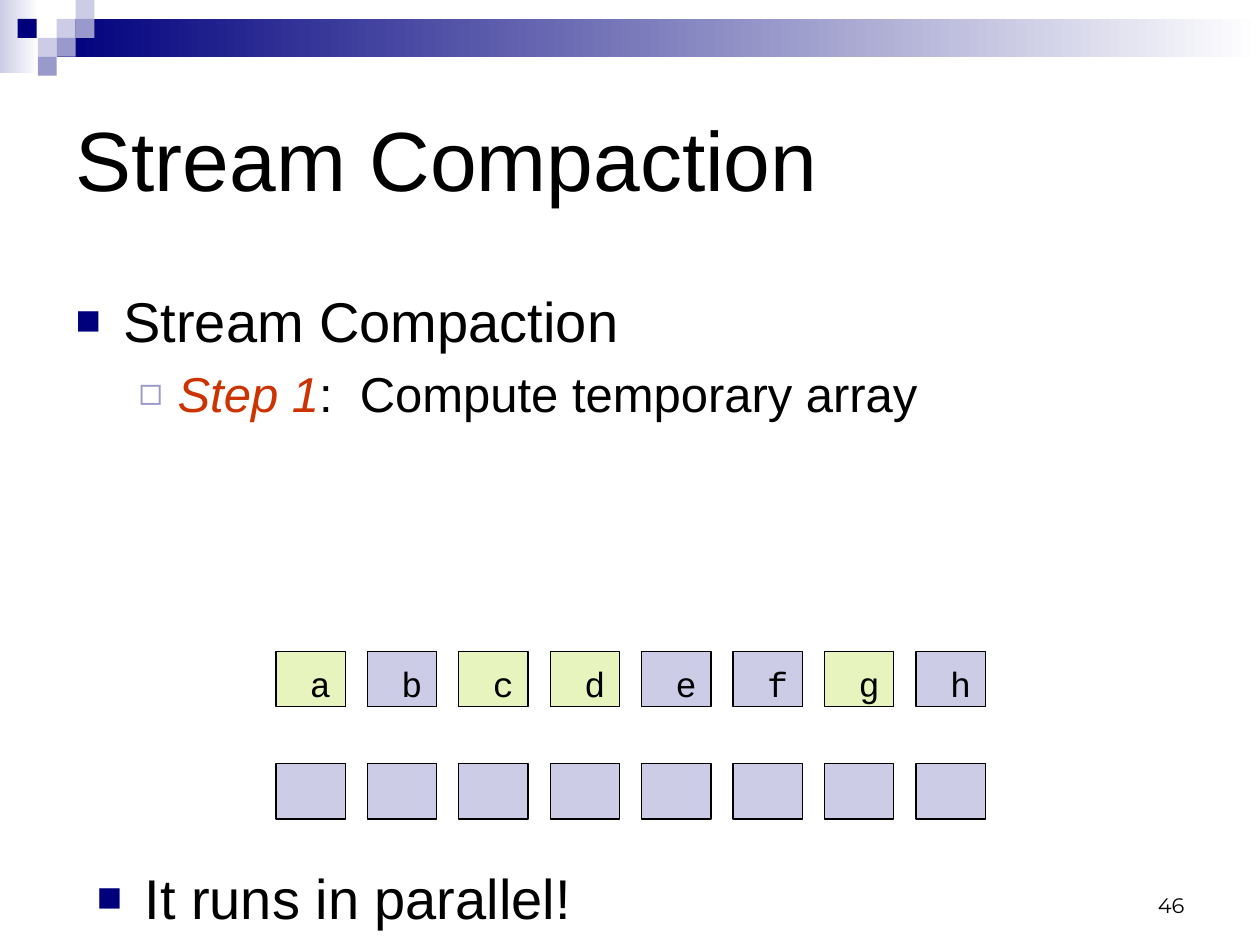
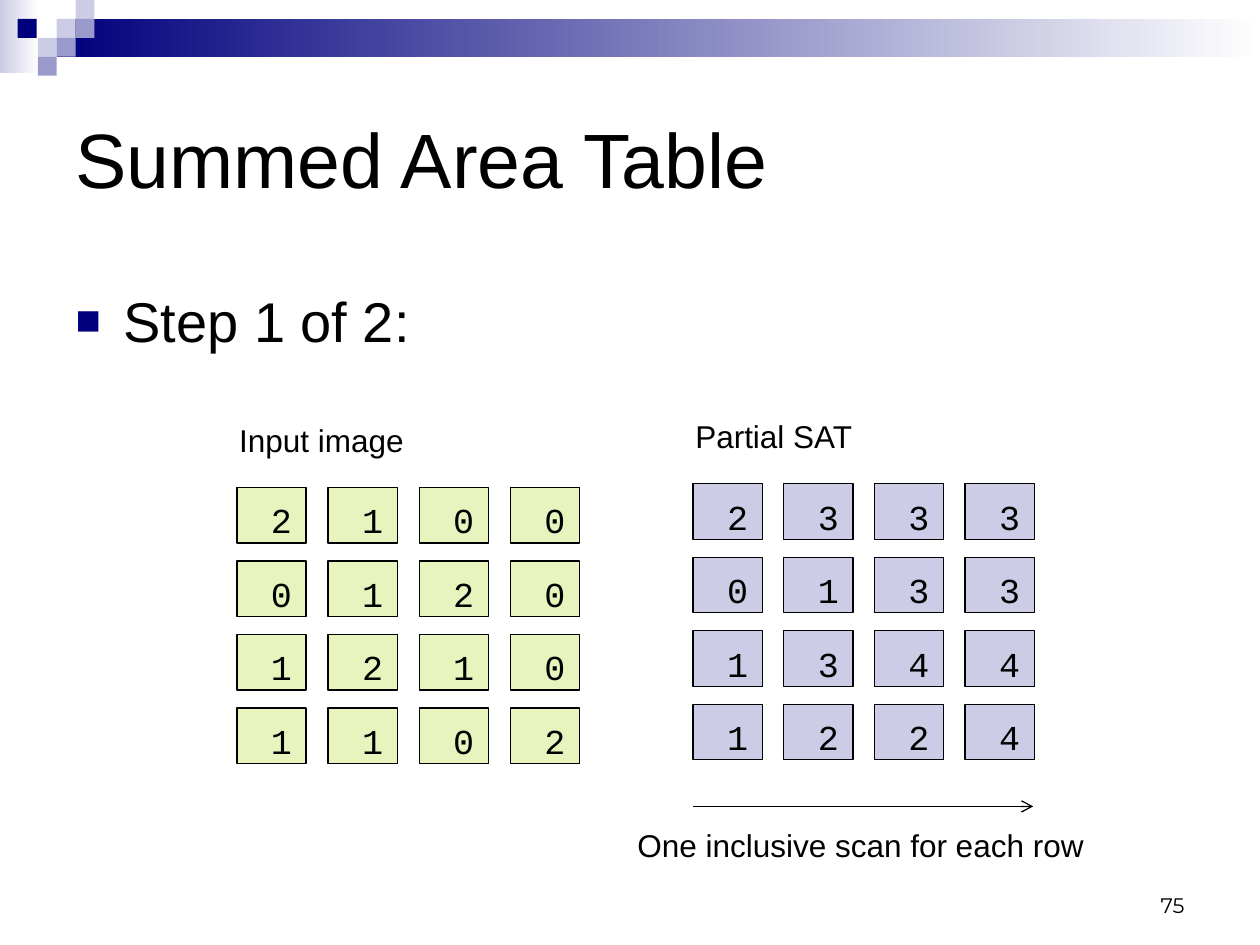
from dataclasses import dataclass
from itertools import accumulate

from lxml.etree import SubElement
from pptx import Presentation
from pptx.dml.color import RGBColor
from pptx.enum.shapes import MSO_CONNECTOR, MSO_SHAPE
from pptx.enum.text import MSO_ANCHOR, MSO_AUTO_SIZE, PP_ALIGN
from pptx.oxml.ns import qn
from pptx.util import Inches, Pt

COLORS = {
    "navy": "00007D",
    "violet": "9999CC",
    "lavender": "CCCCE6",
    "lime": "E7F4BE",
    "red": "CC3300",
    "black": "000000",
    "white": "FFFFFF",
}
SANS, MONO, NUMBER_FONT = "Arial", "Courier New", "Montserrat"
CELL_WIDTH, CELL_HEIGHT = 0.55, 0.44
TILE = 0.15


@dataclass(frozen=True)
class Area:
    left: float
    top: float
    width: float
    height: float

    def lengths(self) -> tuple:
        return tuple(map(Inches, (self.left, self.top, self.width, self.height)))


@dataclass(frozen=True)
class Bullet:
    char: str
    color: str
    percent: int
    margin: float
    hanging: float
    level: int = 0


@dataclass(frozen=True)
class CellGrid:
    area: Area
    rows: list
    fills: list


SQUARE = Bullet("■", "navy", 75, 0.38, 0.38)
HOLLOW = Bullet("◻", "violet", 80, 0.81, 0.31, level=1)

TITLE_AREA = Area(0.5, 0.5, 9, 1.5)
NUMBER_AREA = Area(7.17, 6.83, 2.33, 0.5)
FADES = [
    (Area(0, 0, 0.31, 0.58), "lavender"),
    (Area(0.45, 0.15, 9.55, 0.3), "navy"),
]
TILES = [
    (0.45, 0.15, "lavender"),
    (0.6, 0, "lavender"),
    (0.6, 0.15, "violet"),
    (0.3, 0.3, "lavender"),
    (0.14, 0.15, "navy"),
    (0.45, 0.3, "violet"),
    (0.3, 0.45, "violet"),
]


def rgb(name: str) -> RGBColor:
    return RGBColor.from_string(COLORS[name])


def add_text(para, text: str, *, size: float, font: str = SANS,
             color: str = "black", italic: bool = False) -> None:
    span = para.add_run()
    span.text = text
    span.font.name = font
    span.font.size = Pt(size)
    span.font.color.rgb = rgb(color)
    span.font.italic = italic


def set_bullet(para, bullet: Bullet) -> None:
    para.level = bullet.level
    props = para._p.get_or_add_pPr()
    props.set("marL", str(Inches(bullet.margin)))
    props.set("indent", str(-Inches(bullet.hanging)))
    color = SubElement(props, qn("a:buClr"))
    SubElement(color, qn("a:srgbClr"), val=COLORS[bullet.color])
    SubElement(props, qn("a:buSzPct"), val=str(bullet.percent * 1000))
    SubElement(props, qn("a:buFont"), typeface=SANS)
    SubElement(props, qn("a:buChar"), char=bullet.char)


def place(box, area: Area) -> None:
    box.left, box.top, box.width, box.height = area.lengths()


def start_list(box, text: str):
    """Write the first square-bulleted line and return the text frame."""
    frame = box.text_frame
    frame.word_wrap = True
    frame.auto_size = MSO_AUTO_SIZE.NONE
    frame.margin_top = Inches(0.1)
    para = frame.paragraphs[0]
    set_bullet(para, SQUARE)
    para.space_before = Pt(0)
    add_text(para, text, size=32)
    return frame


def add_rectangle(shapes, area: Area):
    shape = shapes.add_shape(MSO_SHAPE.RECTANGLE, *area.lengths())
    shape.shadow.inherit = False
    return shape


def add_solid(shapes, area: Area, fill: str):
    shape = add_rectangle(shapes, area)
    shape.fill.solid()
    shape.fill.fore_color.rgb = rgb(fill)
    return shape


def decorate_layout(layout, slide) -> None:
    """Draw the corner tiles and fading band, then move them to the layout."""
    for holder in list(layout.placeholders)[2:]:
        holder.element.getparent().remove(holder.element)
    group = slide.shapes.add_group_shape()
    for area, color in FADES:
        shape = add_rectangle(group.shapes, area)
        shape.line.fill.background()
        shape.fill.gradient()
        shape.fill.gradient_angle = 0
        for stop, name in zip(shape.fill.gradient_stops, (color, "white")):
            stop.color.rgb = rgb(name)
    for left, top, color in TILES:
        tile = add_solid(group.shapes, Area(left, top, TILE, TILE), color)
        tile.line.fill.background()
    layout.shapes.element.insert(2, group.element)


def add_page(deck, layout, title: str, title_size: float, number: int):
    page = deck.slides.add_slide(layout)
    box = page.shapes.title
    place(box, TITLE_AREA)
    frame = box.text_frame
    frame.auto_size = MSO_AUTO_SIZE.NONE
    frame.vertical_anchor = MSO_ANCHOR.MIDDLE
    frame.paragraphs[0].alignment = PP_ALIGN.LEFT
    add_text(frame.paragraphs[0], title, size=title_size)

    frame = page.shapes.add_textbox(*NUMBER_AREA.lengths()).text_frame
    frame.word_wrap = True
    frame.vertical_anchor = MSO_ANCHOR.BOTTOM
    frame.paragraphs[0].alignment = PP_ALIGN.RIGHT
    add_text(frame.paragraphs[0], str(number), size=12, font=NUMBER_FONT)
    return page


def add_cell(page, area: Area, fill: str, text: str) -> None:
    cell = add_solid(page.shapes, area, fill)
    cell.line.color.rgb = rgb("black")
    cell.line.width = Pt(0.75)
    if text:
        frame = cell.text_frame
        frame.word_wrap = True
        frame.vertical_anchor = MSO_ANCHOR.TOP
        frame.margin_left, frame.margin_top = Inches(0.27), Inches(0.09)
        frame.margin_right = frame.margin_bottom = 0
        frame.paragraphs[0].alignment = PP_ALIGN.LEFT
        add_text(frame.paragraphs[0], text, size=20, font=MONO)


def add_grid(page, grid: CellGrid) -> None:
    """Spread the cells evenly over the grid's area; fills go by column."""
    area = grid.area
    step_x = (area.width - CELL_WIDTH) / (len(grid.fills) - 1)
    step_y = (area.height - CELL_HEIGHT) / max(len(grid.rows) - 1, 1)
    for row, values in enumerate(grid.rows):
        for column, (value, fill) in enumerate(zip(values, grid.fills)):
            spot = Area(area.left + column * step_x, area.top + row * step_y,
                        CELL_WIDTH, CELL_HEIGHT)
            add_cell(page, spot, fill, str(value))


def add_label(page, area: Area, text: str) -> None:
    frame = page.shapes.add_textbox(*area.lengths()).text_frame
    frame.word_wrap = False
    add_text(frame.paragraphs[0], text, size=18)


def add_arrow(page, left: float, right: float, top: float) -> None:
    ends = map(Inches, (left, top, right, top))
    arrow = page.shapes.add_connector(MSO_CONNECTOR.STRAIGHT, *ends)
    arrow.line.color.rgb = rgb("black")
    arrow.line.width = Pt(0.75)
    SubElement(arrow.line._get_or_add_ln(), qn("a:tailEnd"), type="arrow")
    SubElement(arrow.element.spPr, qn("a:effectLst"))


def fill_compaction(page) -> None:
    body = page.placeholders[1]
    place(body, Area(0.5, 2.17, 9.33, 4.25))
    step = start_list(body, "Stream Compaction").add_paragraph()
    set_bullet(step, HOLLOW)
    step.space_before = Pt(6)
    add_text(step, "Step 1", size=28, color="red", italic=True)
    add_text(step, ":  Compute temporary array", size=28)

    letters = "abcdefgh"
    kept = ["lime" if letter in "acdg" else "lavender" for letter in letters]
    add_grid(page, CellGrid(Area(2.19, 5.17, 5.63, CELL_HEIGHT), [letters], kept))
    add_grid(page, CellGrid(Area(2.19, 6.06, 5.63, CELL_HEIGHT),
                            [[""] * 8], ["lavender"] * 8))
    remark = page.shapes.add_textbox(*Area(0.67, 6.75, 9, 0.83).lengths())
    start_list(remark, "It runs in parallel!")


def fill_area_table(page) -> None:
    body = page.placeholders[1]
    place(body, Area(0.5, 2.17, 3.1, 0.56))
    start_list(body, "Step 1 of 2:")

    image = [[2, 1, 0, 0], [0, 1, 2, 0], [1, 2, 1, 0], [1, 1, 0, 2]]
    row_sums = [list(accumulate(row)) for row in image]
    add_grid(page, CellGrid(Area(1.88, 3.87, 2.72, 2.19), image, ["lime"] * 4))
    add_grid(page, CellGrid(Area(5.5, 3.84, 2.71, 2.19), row_sums, ["lavender"] * 4))
    add_label(page, Area(1.8, 3.29, 1.52, 0.4), "Input image")
    add_label(page, Area(5.42, 3.26, 1.46, 0.4), "Partial SAT")
    add_arrow(page, 5.5, 8.2, 6.4)
    add_label(page, Area(4.96, 6.51, 3.78, 0.4), "One inclusive scan for each row")


def main() -> None:
    deck = Presentation()
    deck.slide_width, deck.slide_height = Inches(10), Inches(7.5)
    layout = deck.slide_layouts[1]
    compaction = add_page(deck, layout, "Stream Compaction", 48, 46)
    decorate_layout(layout, compaction)
    fill_compaction(compaction)
    fill_area_table(add_page(deck, layout, "Summed Area Table", 44, 75))
    deck.save("out.pptx")


if __name__ == "__main__":
    main()
